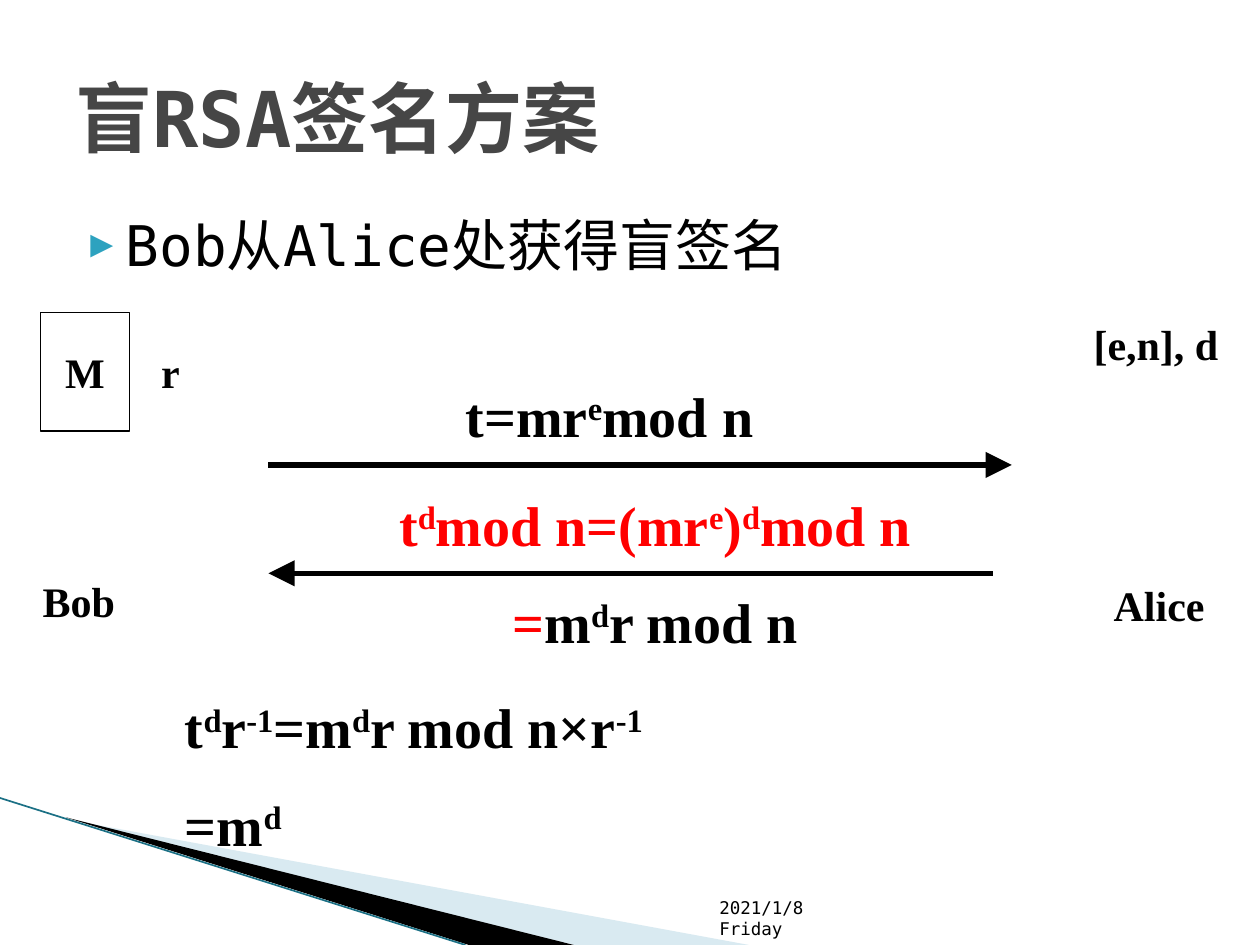
from lxml.etree import SubElement
from pptx import Presentation
from pptx.dml.color import RGBColor as RGB
from pptx.enum.shapes import MSO_CONNECTOR as CONN, MSO_SHAPE as SHAPE
from pptx.enum.text import MSO_ANCHOR as ANCHOR, PP_ALIGN as ALIGN
from pptx.oxml.ns import qn
from pptx.util import Pt

COLORS = {"ink": "000000", "title": "464646", "red": "FF0000", "paper": "FFFFFF",
          "bullet": "2DA2BF", "band": "A0CBDC", "edge": "1B7085"}
MONO, SERIF = "DejaVu Sans Mono", "Times New Roman"


class SlideBuilder:
    """Draw styled elements on the current slide, with lengths in points."""

    def __init__(self, prs):
        self.s = prs.slides.add_slide(prs.slide_layouts[6])

    def color(self, name):
        return RGB.from_string(COLORS[name])

    def add_lines(self, tf, lines, size, font, bold, align, gap=0):
        for i, line in enumerate(lines):
            p = tf.paragraphs[0] if i == 0 else tf.add_paragraph()
            p.alignment = align
            if i:
                p.space_before = Pt(gap)
            for text, color in line:
                for j, part in enumerate(text.split("^")):
                    if part:
                        r = p.add_run()
                        r.text = part
                        r.font.size, r.font.name, r.font.bold = Pt(size), font, bold
                        r.font.color.rgb = self.color(color)
                        if j % 2:
                            r._r.get_or_add_rPr().set("baseline", "30000")

    def text(self, box, lines, size, font=SERIF, bold=True, align=ALIGN.LEFT, anchor=ANCHOR.TOP):
        sp = self.s.shapes.add_textbox(*map(Pt, box))
        tf = sp.text_frame
        tf.word_wrap, tf.vertical_anchor = True, anchor
        self.add_lines(tf, lines, size, font, bold, align, gap=17.5)
        return tf

    def bullet(self, box, text, size):
        p = self.text(box, [[(text, "ink")]], size, MONO, False).paragraphs[0]
        pPr = p._p.get_or_add_pPr()
        pPr.set("marL", str(Pt(28.8)))
        pPr.set("indent", str(Pt(-20.2)))
        clr = SubElement(pPr, qn("a:buClr"))
        SubElement(clr, qn("a:srgbClr"), val=COLORS["bullet"])
        SubElement(pPr, qn("a:buSzPct"), val="68000")
        SubElement(pPr, qn("a:buFont"), typeface=MONO)
        SubElement(pPr, qn("a:buChar"), char="▶")

    def card(self, box, text, size):
        sp = self.s.shapes.add_shape(SHAPE.RECTANGLE, *map(Pt, box))
        sp.shadow.inherit = False
        sp.fill.solid()
        sp.fill.fore_color.rgb = self.color("paper")
        sp.line.color.rgb = self.color("ink")
        sp.line.width = Pt(0.75)
        tf = sp.text_frame
        tf.word_wrap, tf.vertical_anchor = False, ANCHOR.MIDDLE
        self.add_lines(tf, [[(text, "ink")]], size, SERIF, True, ALIGN.CENTER)

    def polygon(self, points, color, alpha=100):
        start, *rest = [(Pt(x), Pt(y)) for x, y in points]
        fb = self.s.shapes.build_freeform(*start)
        fb.add_line_segments(rest)
        sp = fb.convert_to_shape()
        sp.shadow.inherit = False
        sp.line.fill.background()
        sp.fill.solid()
        sp.fill.fore_color.rgb = self.color(color)
        if alpha < 100:
            clr = sp._element.spPr.find(".//" + qn("a:srgbClr"))
            SubElement(clr, qn("a:alpha"), val=str(alpha * 1000))

    def line(self, start, end, color, width, arrow=False):
        c = self.s.shapes.add_connector(CONN.STRAIGHT, *map(Pt, start + end))
        c.line.color.rgb = self.color(color)
        c.line.width = Pt(width)
        spPr = c._element.spPr
        if arrow:
            SubElement(spPr.get_or_add_ln(), qn("a:tailEnd"), type="triangle", w="lg", len="lg")
        SubElement(spPr, qn("a:effectLst"))


def main():
    prs = Presentation()
    prs.slide_width, prs.slide_height = Pt(720), Pt(540)
    b = SlideBuilder(prs)

    b.polygon([(39.6, 468.5), (428, 540), (328, 540)], "band", 40)
    b.polygon([(37.5, 467), (328, 540), (268, 540)], "ink")
    b.line((0, 456), (266, 540), "edge", 0.95)

    b.bullet((36, 116.6, 648, 356.4), "Bob从Alice处获得盲签名", 32)
    b.text((36, 21.6, 648, 90), [[("盲RSA签名方案", "title")]], 44, MONO, anchor=ANCHOR.MIDDLE)
    b.text((404, 504.7, 80.6, 35.3), [[("2021/1/8 Friday", "ink")]], 10, MONO, False,
           anchor=ANCHOR.BOTTOM)

    b.card((23, 178.6, 51, 67.7), "M", 24)
    for text, x, y, w in [("Bob", 17.3, 325.4, 102), ("Alice", 629.3, 327.6, 73.4),
                          ("[e,n], d", 617.8, 178.6, 87.8), ("r", 85, 194.4, 51)]:
        b.text((x, y, w, 36), [[(text, "ink")]], 24)

    b.line((153.4, 265.7), (578.2, 265.7), "ink", 3, arrow=True)
    b.line((567.4, 327.6), (153.4, 327.6), "ink", 3, arrow=True)

    b.text((249, 214.6, 198.7, 46), [[("t=mr^e^mod n", "ink")]], 32, align=ALIGN.CENTER)
    b.text((184.3, 276.5, 380.2, 104.4),
           [[("t^d^mod n=(mr^e^)^d^mod n", "red")], [("=", "red"), ("m^d^r mod n", "ink")]],
           32, align=ALIGN.CENTER)
    b.text((98.6, 392.4, 295.2, 104.4),
           [[("t^d^r^-1^=m^d^r mod n×r^-1^", "ink")], [("=m^d^", "ink")]], 32)

    prs.save("out.pptx")


if __name__ == "__main__":
    main()
